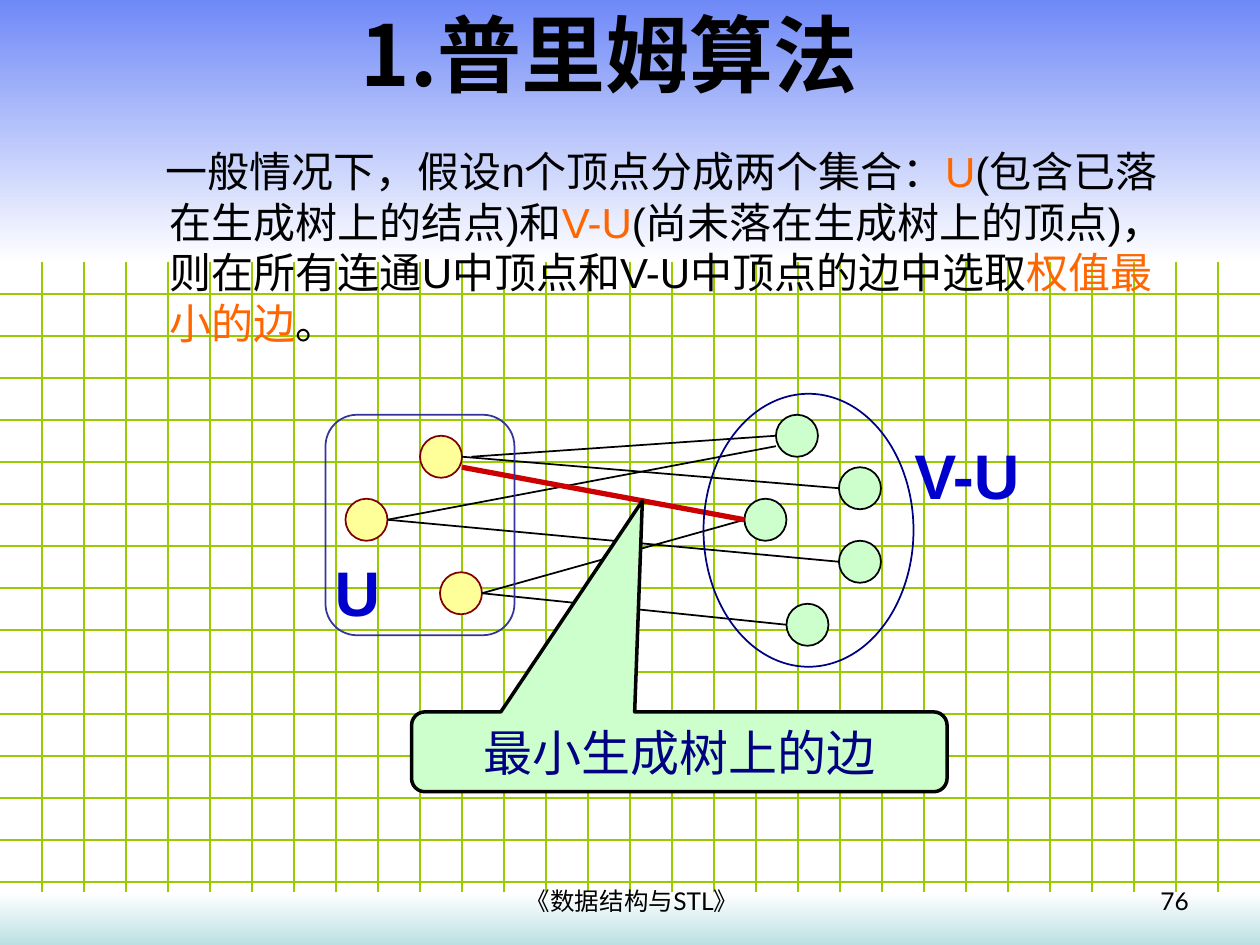
import pptx
import pptx.util
import pptx.dml.color
import pptx.enum.shapes
import pptx.enum.text
import pptx.oxml.ns
from lxml import etree

Pt = pptx.util.Pt
Shape = pptx.enum.shapes.MSO_SHAPE
Align = pptx.enum.text.PP_ALIGN
Anchor = pptx.enum.text.MSO_ANCHOR
Fit = pptx.enum.text.MSO_AUTO_SIZE
qn = pptx.oxml.ns.qn

COLS, ROWS = 120, 90  # twelve cells to the inch
NODE = 4
HAN = "Noto Sans CJK SC"
INK = {"black": "000000", "grid": "99CC00", "sky": "6F89F7", "white": "FFFFFF",
       "sea": "BBE0E3", "hot": "FF6600", "cream": "FFFF99", "wine": "800000",
       "mint": "CCFFCC", "red": "CC0000", "frame": "333399", "navy": "000082",
       "blue": "0000CC"}


def tint(name):
    return pptx.dml.color.RGBColor.from_string(INK[name])


class Board:
    """Holds the style and the current slide."""

    def __init__(self, deck):
        self.deck = deck
        self.slide = deck.slides.add_slide(deck.slide_layouts[5])
        self.items = self.slide.shapes

    def x(self, col):
        return round(self.deck.slide_width * col / COLS)

    def y(self, row):
        return round(self.deck.slide_height * row / ROWS)

    def box(self, at):
        return self.x(at[0]), self.y(at[1]), self.x(at[2]), self.y(at[3])

    def line(self, start, end, ink="black", width=1):
        link = self.items.add_connector(
            pptx.enum.shapes.MSO_CONNECTOR.STRAIGHT,
            self.x(start[0]), self.y(start[1]), self.x(end[0]), self.y(end[1]))
        link.line.color.rgb = tint(ink)
        link.line.width = Pt(width)
        etree.SubElement(link._element.spPr, qn("a:effectLst"))

    def shape(self, kind, at, fill=None, ink=None, width=1, adj=()):
        item = self.items.add_shape(kind, *self.box(at))
        item.shadow.inherit = False
        for i, value in enumerate(adj):
            item.adjustments[i] = value
        if fill:
            item.fill.solid()
            item.fill.fore_color.rgb = tint(fill)
        else:
            item.fill.background()
        if ink:
            item.line.color.rgb = tint(ink)
            item.line.width = Pt(width)
        else:
            item.line.fill.background()
        return item

    def band(self, at, *inks):
        fill = self.shape(Shape.RECTANGLE, at).fill
        fill.gradient()
        fill.gradient_angle = 270
        for stop, ink, place in zip(fill.gradient_stops, inks, (0, 1)):
            stop.color.rgb = tint(ink)
            stop.position = place

    def label(self, item, runs, size, face="Arial", bold=False, para=None, **frame):
        body = item.text_frame
        style = {"word_wrap": True, "auto_size": Fit.NONE,
                 "vertical_anchor": Anchor.TOP, **frame}
        for key, value in style.items():
            setattr(body, key, value)
        first = body.paragraphs[0]
        for key, value in (para or {}).items():
            setattr(first, key, value)
        for text, ink in runs:
            run = first.add_run()
            run.text = text
            for key, value in {"size": Pt(size), "name": face, "bold": bold}.items():
                setattr(run.font, key, value)
            run.font.color.rgb = tint(ink)
            etree.SubElement(run._r.rPr, qn("a:ea"), typeface=HAN)

    def text(self, at, runs, size, **style):
        item = self.items.add_textbox(*self.box(at))
        self.label(item, runs, size, **style)
        return item

    def title(self, at, text):
        item = self.items.title
        self.items._spTree.append(item._element)  # in front of the bands
        item.left, item.top, item.width, item.height = self.box(at)
        self.label(item, [(text, "black")], 48, face=HAN, bold=True,
                   para={"alignment": Align.CENTER}, vertical_anchor=Anchor.MIDDLE)


def main():
    deck = pptx.Presentation()
    deck.slide_width = pptx.util.Inches(10)
    deck.slide_height = pptx.util.Inches(7.5)
    board = Board(deck)

    # Backdrop: square grid under two fading bands
    for row in range(4, ROWS, 4):
        board.line((0, row), (COLS, row), "grid", 0.75)
    for col in range(4, COLS, 4):
        board.line((col, 0), (col, ROWS), "grid", 0.75)
    board.band((0, 0, COLS, 25), "sky", "white")
    board.band((0, 85, COLS, 5), "white", "sea")

    # Title and rule
    board.title((0, 0, 116, 10), "1.普里姆算法")
    rule = board.text((0, 13.3, 112.8, 40), [
        ("一般情况下，假设n个顶点分成两个集合：", "black"),
        ("U", "hot"),
        ("(包含已落在生成树上的结点)和", "black"),
        ("V-U", "hot"),
        ("(尚未落在生成树上的顶点)，则在所有连通U中顶点和V-U中顶点的边中选取", "black"),
        ("权值最小的边", "hot"),
        ("。", "black"),
    ], 24, para={"line_spacing": Pt(28.8)})
    props = rule.text_frame.paragraphs[0]._p.get_or_add_pPr()
    props.set("marL", str(board.x(15)))
    props.set("indent", str(-board.x(0.4)))

    # Vertices of both sets
    left = [(40, 41.5), (32.9, 47.5), (41.9, 54.5)]
    right = [(73.9, 39.5), (79.9, 44.5), (70.9, 47.5), (79.9, 51.5), (74.9, 57.5)]
    for spots, fill, ink in ((left, "cream", "wine"), (right, "mint", "black")):
        for spot in spots:
            board.shape(Shape.OVAL, (*spot, NODE, NODE), fill, ink)

    # Edges: left vertex, right vertex, shift of the start, drop of the end
    edges = [(0, 0, (0.9, 0), 0), (1, 3, (0, 0), 0), (2, 4, (0, 0), 0),
             (2, 2, (0, 0), 0), (0, 1, (0, 0), 0), (1, 0, (0, 0), 1),
             (0, 2, (0, 1), 0)]
    for a, b, (dx, dy), drop in edges:
        start = left[a][0] + NODE + dx, left[a][1] + NODE / 2 + dy
        end = right[b][0], right[b][1] + NODE / 2 + drop
        least = (a, b) == (0, 2)
        board.line(start, end, "red" if least else "black", 3 if least else 1)

    # Set outlines and names
    board.shape(Shape.ROUNDED_RECTANGLE, (31, 39.5, 18, 21), ink="frame", adj=[0.167])
    board.shape(Shape.OVAL, (67, 37.5, 20, 26), ink="navy")
    for at, name, wrap in (((30.7, 52.1, 6.7, 8.4), "U", False),
                           ((85.9, 41, 14, 8.4), "V-U", True)):
        board.text(at, [(name, "blue")], 36, bold=True, word_wrap=wrap,
                   vertical_anchor=Anchor.BOTTOM)

    # Callout on the lightest edge
    note = board.shape(Shape.ROUNDED_RECTANGULAR_CALLOUT, (39.2, 67.8, 51, 7.6),
                       "mint", "black", 2, [-0.069, -3.145, 0.167])
    board.label(note, [("最小生成树上的边", "navy")], 28,
                para={"alignment": Align.CENTER}, vertical_anchor=Anchor.MIDDLE)

    # Footer
    for at, text, side in (((41.2, 83.8, 38, 4.3), "《数据结构与STL》", Align.CENTER),
                           ((86.4, 83.8, 28, 4.3), "76", Align.RIGHT)):
        board.text(at, [(text, "black")], 14, face="Lato", para={"alignment": side})

    deck.save("out.pptx")


if __name__ == "__main__":
    main()
